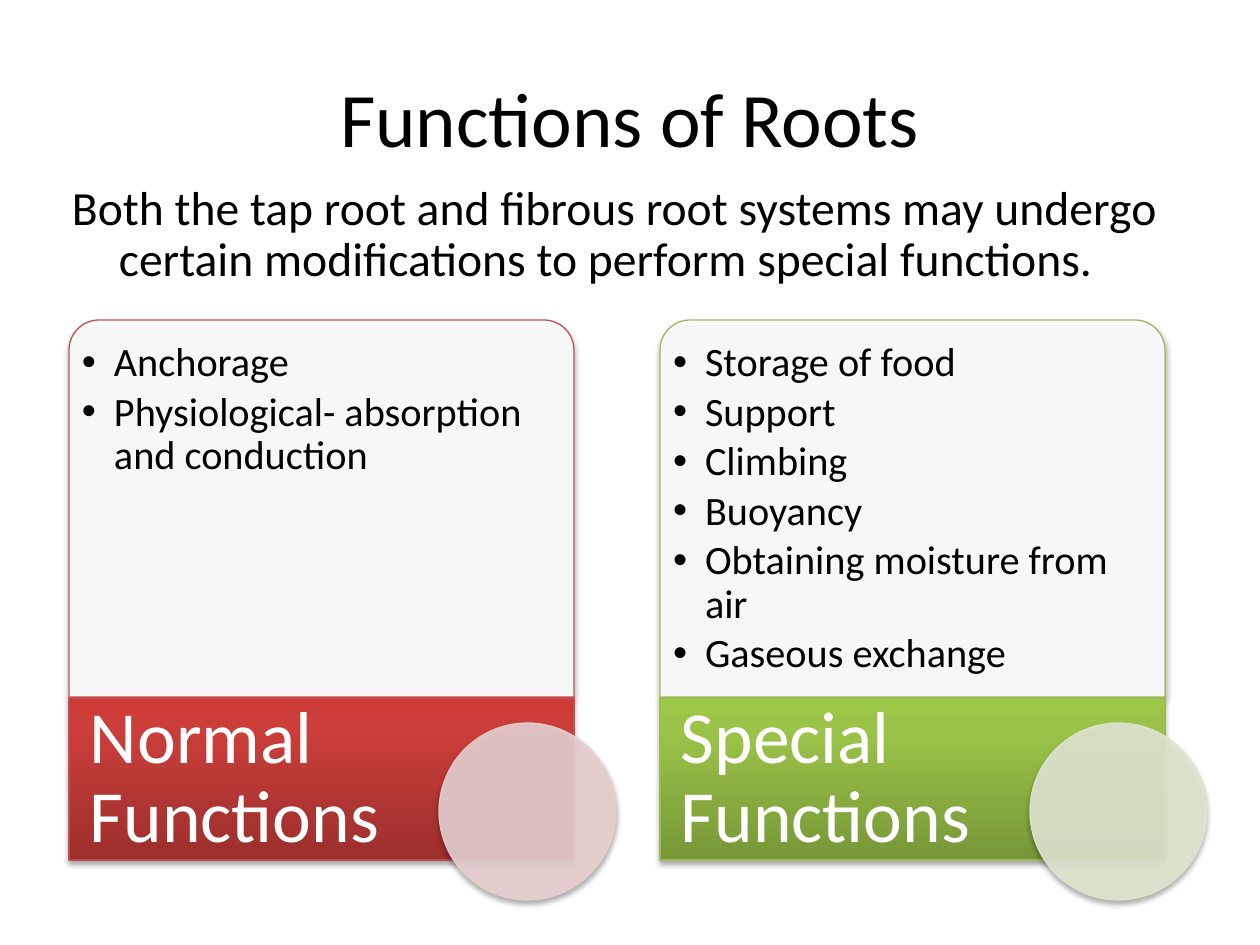
from lxml import etree
from pptx import Presentation
from pptx.dml.color import RGBColor
from pptx.enum.shapes import MSO_SHAPE
from pptx.enum.text import MSO_ANCHOR, MSO_AUTO_SIZE, PP_ALIGN
from pptx.oxml import parse_xml
from pptx.oxml.ns import nsdecls, qn
from pptx.util import Emu, Pt

CARD, BAND, DISC = MSO_SHAPE.ROUND_2_SAME_RECTANGLE, MSO_SHAPE.RECTANGLE, MSO_SHAPE.OVAL
TOP, MIDDLE = MSO_ANCHOR.TOP, MSO_ANCHOR.MIDDLE
LEFT, CENTER = PP_ALIGN.LEFT, PP_ALIGN.CENTER
NO_AUTOFIT = MSO_AUTO_SIZE.NONE

FONT = "Calibri"
PX = 914400 / 126
COLUMN_LEFT, COLUMN_STEP = 69, 591
COLUMN_W = 505

COLORS = {
    "text": "000000", "white": "FFFFFF",
    "red": "C0504D", "red_disc": "E8D0D0",
    "green": "9BBB59", "green_disc": "DEE7D1",
}
# Gradient stops run from the bottom of the band to its top.
BAND_STOPS = {
    "red": ((0, "9C2F2D"), (80, "CB3E3A"), (100, "CE3B37")),
    "green": ((0, "779737"), (80, "9BC348"), (100, "9DC746")),
}
COLUMNS = [
    ("Normal Functions", "red",
     ["Anchorage", "Physiological- absorption and conduction"]),
    ("Special Functions", "green",
     ["Storage of food", "Support", "Climbing", "Buoyancy",
      "Obtaining moisture from air", "Gaseous exchange"]),
]


def px(n):
    return Emu(round(n * PX))


def rgb(name):
    return RGBColor.from_string(COLORS[name])


def place(sp, box):
    sp.left, sp.top, sp.width, sp.height = map(px, box)


def set_text(sp, lines, size, color="text", align=LEFT, anchor=TOP,
             insets=(13, 6, 13, 6), hang=0, bullet=False, spacing=1, after=0):
    """Fill a shape with paragraphs; hang is the hanging indent in px."""
    tf = sp.text_frame
    tf.word_wrap = True
    tf.auto_size = NO_AUTOFIT
    tf.vertical_anchor = anchor
    (tf.margin_left, tf.margin_top,
     tf.margin_right, tf.margin_bottom) = map(px, insets)
    for i, line in enumerate(lines):
        p = tf.add_paragraph() if i else tf.paragraphs[0]
        pPr = p._p.get_or_add_pPr()
        pPr.set("marL", str(px(hang)))
        pPr.set("indent", str(px(-hang)))
        if bullet:
            etree.SubElement(pPr, qn("a:buFont")).set("typeface", "Arial")
            etree.SubElement(pPr, qn("a:buChar")).set("char", "•")
        else:
            etree.SubElement(pPr, qn("a:buNone"))
        p.alignment = align
        p.line_spacing = spacing
        p.space_before, p.space_after = Pt(0), Pt(after)
        r = p.add_run()
        r.text = line
        r.font.name, r.font.size = FONT, Pt(size)
        r.font.color.rgb = rgb(color)


def add_textbox(s, box, lines, **fmt):
    set_text(s.shapes.add_textbox(*map(px, box)), lines, **fmt)


def set_alpha(fill, percent):
    clr = fill._xPr.find(qn("a:solidFill")).find(qn("a:srgbClr"))
    etree.SubElement(clr, qn("a:alpha")).set("val", str(percent * 1000))


def add_shadow(sp):
    sp._element.spPr.append(parse_xml(
        f'<a:effectLst {nsdecls("a")}><a:outerShdw blurRad="{Pt(3.1)}" '
        f'dist="{Pt(1.8)}" dir="5400000" rotWithShape="0">'
        '<a:srgbClr val="000000"><a:alpha val="35000"/></a:srgbClr>'
        '</a:outerShdw></a:effectLst>'))


def add_panel(s, kind, box, line, fill=None, stops=()):
    """Add a shadowed shape with a translucent fill or a vertical gradient."""
    sp = s.shapes.add_shape(kind, *map(px, box))
    if stops:
        gs = "".join(f'<a:gs pos="{pos * 1000}"><a:srgbClr val="{c}"/></a:gs>'
                     for pos, c in stops)
        sp._element.spPr.find(qn("a:prstGeom")).addnext(parse_xml(
            f'<a:gradFill {nsdecls("a")} rotWithShape="1"><a:gsLst>{gs}</a:gsLst>'
            '<a:lin ang="16200000" scaled="0"/></a:gradFill>'))
    else:
        sp.fill.solid()
        sp.fill.fore_color.rgb = rgb(fill)
        set_alpha(sp.fill, 90)
    sp.line.color.rgb = rgb(line)
    sp.line.width = Pt(0.75)
    add_shadow(sp)
    return sp


def add_column(s, left, heading, color, items):
    card = add_panel(s, CARD, (left, 320, COLUMN_W, 377), color, fill="white")
    card.adjustments[0] = 0.08
    card.adjustments[1] = 0
    add_textbox(s, (left + 9, 329, COLUMN_W - 18, 368), items, size=23,
                insets=(4, 13, 4, 4), hang=32, bullet=True, spacing=0.9, after=3.45)
    add_panel(s, BAND, (left, 698, COLUMN_W, 162), color, stops=BAND_STOPS[color])
    add_textbox(s, (left, 698, 355, 162), [heading], size=42, color="white",
                anchor=MIDDLE, insets=(21, 0, 8, 0), spacing=0.9)
    disc = add_panel(s, DISC, (left + 370, 723, 177, 177), color + "_disc",
                     fill=color + "_disc")
    set_alpha(disc.line.fill, 90)


def main():
    prs = Presentation()
    prs.slide_width, prs.slide_height = px(1260), px(945)
    s = prs.slides.add_slide(prs.slide_layouts[1])
    title, intro = s.shapes.title, s.placeholders[1]
    place(title, (63, 38, 1134, 157))
    set_text(title, ["Functions of Roots"], size=44, align=CENTER, anchor=MIDDLE)
    place(intro, (59, 178, 1148, 147))
    set_text(intro, ["Both the tap root and fibrous root systems may undergo "
                     "certain modifications to perform special functions."],
             size=27.2, hang=47, spacing=0.9)
    for i, column in enumerate(COLUMNS):
        add_column(s, COLUMN_LEFT + i * COLUMN_STEP, *column)
    prs.save("out.pptx")


if __name__ == "__main__":
    main()
